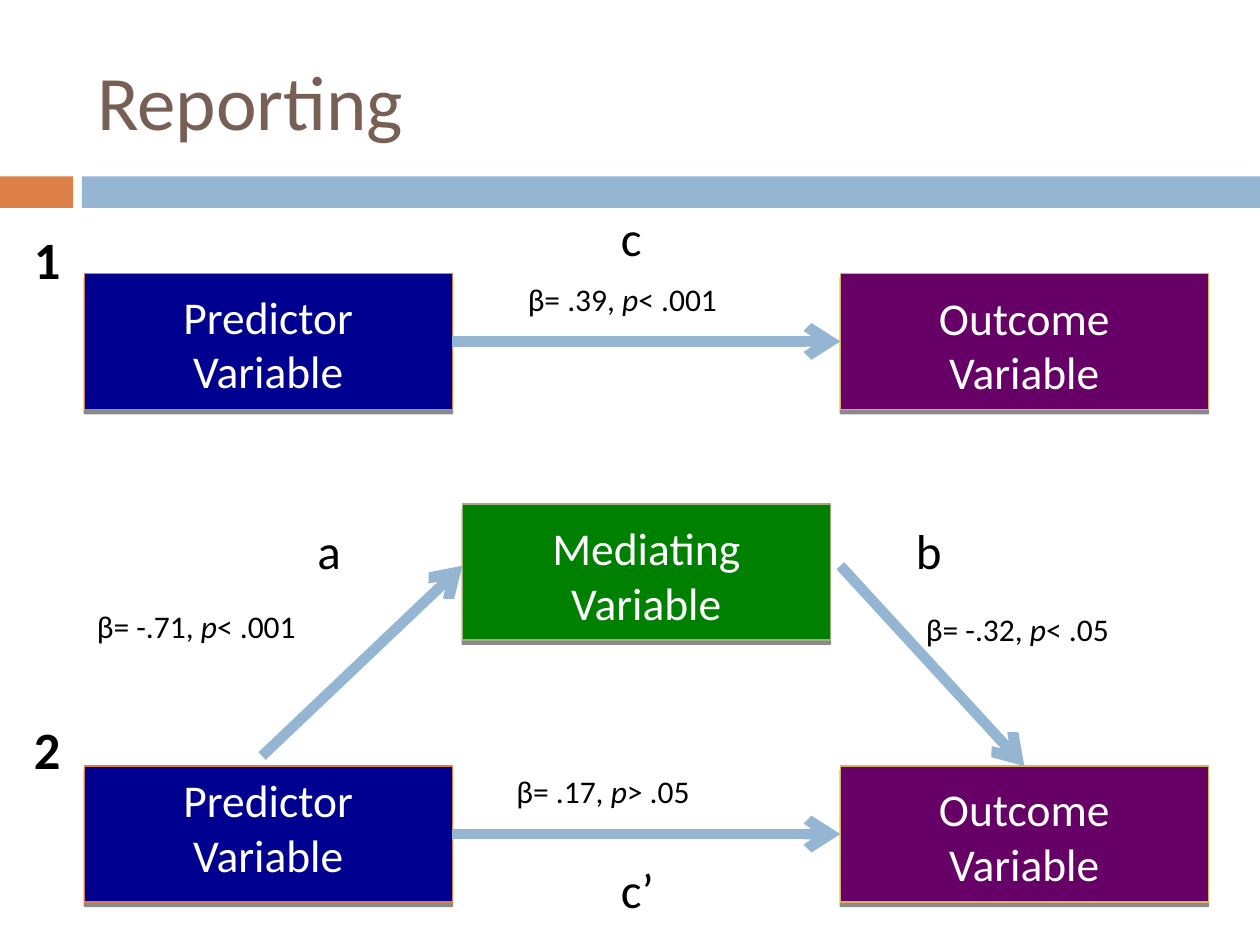
from lxml import etree
from pptx import Presentation
from pptx.dml.color import RGBColor
from pptx.enum.shapes import MSO_CONNECTOR, MSO_SHAPE
from pptx.enum.text import MSO_ANCHOR, PP_ALIGN
from pptx.oxml import parse_xml
from pptx.oxml.ns import nsdecls, qn
from pptx.util import Inches, Pt

RECT = MSO_SHAPE.RECTANGLE
STRAIGHT = MSO_CONNECTOR.STRAIGHT
TOP, LEFT, RIGHT = 0, 1, 3
FONT = "Calibri"
COLORS = {
    "title": "775F55", "text": "000000", "white": "FFFFFF",
    "orange": "DD8047", "blue": "94B6D2", "olive": "A5AB81", "gold": "D8B25C",
    "navy": "000090", "purple": "660066", "green": "008000",
}
SHADOW = (
    f'<a:outerShdw {nsdecls("a")} blurRad="0" dist="30480" dir="5400000" '
    'algn="ctr" rotWithShape="0"><a:srgbClr val="000000">'
    '<a:alpha val="45000"/></a:srgbClr></a:outerShdw>'
)


def rgb(name):
    return RGBColor.from_string(COLORS[name])


def set_font(p, size, color):
    p.font.name = FONT
    p.font.size = Pt(size)
    p.font.color.rgb = rgb(color)


prs = Presentation()
prs.slide_width, prs.slide_height = Inches(10), Inches(7.5)
s = prs.slides.add_slide(prs.slide_layouts[5])

# Header bands
for x, w, color in ((0, 0.58, "orange"), (0.65, 9.35, "blue")):
    sp = s.shapes.add_shape(RECT, Inches(x), Inches(1.4), Inches(w), Inches(0.25))
    sp.shadow.inherit = False
    sp.fill.solid()
    sp.fill.fore_color.rgb = rgb(color)
    sp.line.fill.background()

# Title
title = s.shapes.title
title.left, title.top = Inches(0.67), Inches(0.25)
title.width, title.height = Inches(8.92), Inches(1.08)
tf = title.text_frame
tf.text = "Reporting"
tf.vertical_anchor = MSO_ANCHOR.MIDDLE
p = tf.paragraphs[0]
p.alignment = PP_ALIGN.LEFT
set_font(p, 44, "title")

# Variable boxes: key, name, left, top, fill, line, top inset
boxes = {}
for key, name, x, y, fill, line, inset in (
    ("mediator", "Mediating", 3.67, 4, "green", "olive", 0.13),
    ("predictor 1", "Predictor", 0.67, 2.17, "navy", "orange", 0.12),
    ("outcome 1", "Outcome", 6.67, 2.17, "purple", "gold", 0.13),
    ("predictor 2", "Predictor", 0.67, 6.08, "navy", "orange", 0.05),
    ("outcome 2", "Outcome", 6.67, 6.08, "purple", "gold", 0.12),
):
    sp = s.shapes.add_shape(RECT, Inches(x), Inches(y), Inches(2.92), Inches(1.08))
    sp.shadow.inherit = False
    sp._element.spPr.find(qn("a:effectLst")).append(parse_xml(SHADOW))
    sp.fill.solid()
    sp.fill.fore_color.rgb = rgb(fill)
    sp.line.color.rgb = rgb(line)
    sp.line.width = Pt(0.79)
    tf = sp.text_frame
    tf.word_wrap = True
    tf.vertical_anchor = MSO_ANCHOR.TOP
    tf.margin_top, tf.margin_bottom = Inches(inset), 0
    tf.text = f"{name}\nVariable"
    for p in tf.paragraphs:
        p.alignment = PP_ALIGN.CENTER
        set_font(p, 26, "white")
    boxes[key] = sp

# Path arrows: start, end, joined box and side at each end
for x1, y1, x2, y2, begin, end in (
    (3.59, 2.71, 6.67, 2.71, ("predictor 1", RIGHT), ("outcome 1", LEFT)),
    (3.59, 6.62, 6.67, 6.62, ("predictor 2", RIGHT), ("outcome 2", LEFT)),
    (6.67, 4.49, 8.13, 6.08, None, ("outcome 2", TOP)),
    (2.08, 6, 3.67, 4.49, None, None),
):
    c = s.shapes.add_connector(STRAIGHT, Inches(x1), Inches(y1), Inches(x2), Inches(y2))
    if begin:
        c.begin_connect(boxes[begin[0]], begin[1])
    if end:
        c.end_connect(boxes[end[0]], end[1])
    c.line.color.rgb = rgb("blue")
    c.line.width = Pt(6)
    etree.SubElement(c.line._get_or_add_ln(), qn("a:tailEnd"), type="arrow")
    etree.SubElement(c._element.spPr, qn("a:effectLst"))

# Step numbers, path letters and coefficients; "p" runs are italic
for x, y, w, h, size, bold, runs in (
    (0.17, 1.75, 0.67, 0.6, 30, True, ["1"]),
    (0.17, 5.64, 0.67, 0.6, 30, True, ["2"]),
    (2.42, 4.08, 0.58, 0.57, 28, False, ["a"]),
    (7.17, 4.08, 0.58, 0.57, 28, False, ["b"]),
    (4.83, 1.6, 0.58, 0.57, 28, False, ["c"]),
    (4.83, 6.77, 0.58, 0.57, 28, False, ["c’"]),
    (4.09, 2.17, 2.75, 0.4, 18, False, ["β= .39, ", "p", "< .001"]),
    (0.67, 4.77, 2.33, 0.4, 18, False, ["β= -.71, ", "p", "< .001"]),
    (7.25, 4.79, 2.33, 0.4, 18, False, ["β= -.32, ", "p", "< .05"]),
    (4, 6.08, 2.33, 0.4, 18, False, ["β= .17, ", "p", "> .05"]),
):
    tf = s.shapes.add_textbox(Inches(x), Inches(y), Inches(w), Inches(h)).text_frame
    tf.word_wrap = True
    p = tf.paragraphs[0]
    set_font(p, size, "text")
    p.font.bold = bold
    for text in runs:
        r = p.add_run()
        r.text = text
        if text == "p":
            r.font.italic = True

prs.save("out.pptx")
